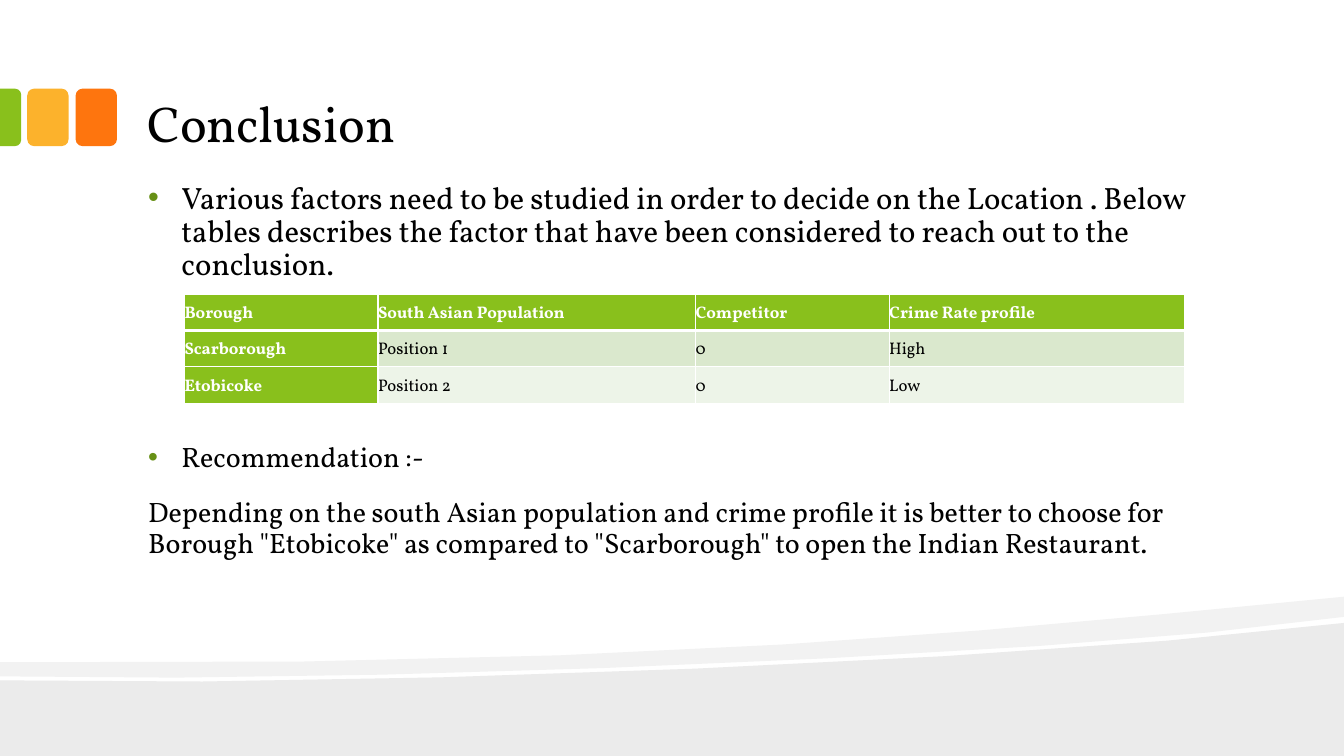
from dataclasses import dataclass

from pptx import Presentation
from pptx import util as u
from pptx.dml.color import RGBColor
from pptx.enum import shapes, text
from pptx.oxml import parse_xml
from pptx.oxml.ns import nsdecls

FONT = "Vollkorn"
BLACK, WHITE = "000000", "FFFFFF"
GREEN, AMBER, ORANGE, BULLET = "89C01C", "FCB22C", "FE750E", "679015"
Point = tuple[float, float]


@dataclass
class Tile:
    left: float
    top: float
    width: float
    height: float
    color: str
    preset: shapes.MSO_SHAPE = shapes.MSO_SHAPE.ROUNDED_RECTANGLE
    rotation: float = 0


@dataclass
class Band:
    color: str
    outline: list[Point]


@dataclass
class Item:
    words: str
    size: float
    bulleted: bool
    before: float = 18


def curve(start: Point, first: Point, second: Point, end: Point, steps: int = 6) -> list[Point]:
    """Points along a cubic Bezier curve, both ends included."""
    points = []
    for step in range(steps + 1):
        t = step / steps
        weights = ((1 - t) ** 3, 3 * t * (1 - t) ** 2, 3 * t * t * (1 - t), t ** 3)
        points.append(tuple(
            sum(weight * point[axis] for weight, point in zip(weights, (start, first, second, end)))
            for axis in (0, 1)))
    return points


TILES = [
    Tile(0.75, 0.88, 0.41, 0.57, ORANGE),
    Tile(0.27, 0.88, 0.41, 0.57, AMBER),
    Tile(-0.18, 1.06, 0.57, 0.21, GREEN, shapes.MSO_SHAPE.ROUND_2_SAME_RECTANGLE, 90),
]
BANDS = [
    Band("EBEBEB", [(13.33, 7.5), (0, 7.5)]
         + curve((0, 6.75), (3.52, 6.83), (10.42, 6.55), (13.33, 6.18))),
    Band("F2F2F2", curve((13.33, 6.12), (12.55, 6.23), (11.49, 6.33), (10.29, 6.41), steps=2)
         + curve((10.29, 6.41), (6.98, 6.63), (2.58, 6.77), (0, 6.71), steps=5)[1:]
         + curve((0, 6.57), (6.52, 6.62), (9.71, 6.27), (13.33, 5.92))),
]
ITEMS = [
    Item("Various factors need to be studied in order to decide on the Location . Below tables "
         "describes the factor that have been considered to reach out to the conclusion.", 22, True),
    Item("Recommendation :-", 20, True, before=115),
    Item("Depending on the south Asian population and crime profile it is better to choose for "
         "Borough \"Etobicoke\" as compared to \"Scarborough\" to open the Indian Restaurant.",
         20, False),
]
ROWS = [
    ["Borough", "South Asian Population", "Competitor", "Crime Rate profile"],
    ["Scarborough", "Position 1", "0", "High"],
    ["Etobicoke", "Position 2", "0", "Low"],
]
COLUMN_WIDTHS = [1.92, 3.15, 1.92, 2.93]
ROW_HEIGHT = 0.36
ROW_FILLS = [GREEN, "DAE8CD", "EDF4E8"]


def paint(target, color: str) -> None:
    target.fill.solid()
    target.fill.fore_color.rgb = RGBColor.from_string(color)


def finish(shape, color: str) -> None:
    """Flat fill without line or shadow."""
    paint(shape, color)
    shape.line.fill.background()
    shape.shadow.inherit = False


def write(para, words: str, *, size: float, color: str = BLACK, bold: bool = False,
          spacing: float = 0.9, before: float = 0) -> None:
    para.alignment = text.PP_ALIGN.LEFT
    para.line_spacing = spacing
    para.space_before = u.Pt(before)
    para.space_after = u.Pt(0)
    span = para.add_run()
    span.text = words
    span.font.name = FONT
    span.font.size = u.Pt(size)
    span.font.bold = bold
    span.font.color.rgb = RGBColor.from_string(color)


def set_bullet(para, bulleted: bool) -> None:
    props = para._p.get_or_add_pPr()
    indent = u.Inches(0.33) if bulleted else 0
    props.set("marL", str(indent))
    props.set("indent", str(-indent))
    if not bulleted:
        props.append(parse_xml(f"<a:buNone {nsdecls('a')}/>"))
        return
    for markup in (f'<a:buClr {nsdecls("a")}><a:srgbClr val="{BULLET}"/></a:buClr>',
                   f'<a:buFont {nsdecls("a")} typeface="Arial"/>',
                   f'<a:buChar {nsdecls("a")} char="•"/>'):
        props.append(parse_xml(markup))


def set_border(cell, side: str, width: float) -> None:
    cell._tc.get_or_add_tcPr().append(parse_xml(
        f'<a:ln{side} {nsdecls("a")} w="{u.Pt(width)}"><a:solidFill>'
        f'<a:srgbClr val="{WHITE}"/></a:solidFill></a:ln{side}>'))


def place(box, left: float, top: float, width: float, height: float, anchor) -> None:
    """Move a placeholder and set up its text frame."""
    box.left, box.top = u.Inches(left), u.Inches(top)
    box.width, box.height = u.Inches(width), u.Inches(height)
    frame = box.text_frame
    frame.margin_left = frame.margin_right = u.Inches(0.13)
    frame.margin_top = frame.margin_bottom = u.Inches(0.07)
    frame.vertical_anchor = anchor
    frame.word_wrap = True
    frame.auto_size = text.MSO_AUTO_SIZE.NONE


def draw_tile(page, tile: Tile) -> None:
    shape = page.shapes.add_shape(tile.preset, u.Inches(tile.left), u.Inches(tile.top),
                                  u.Inches(tile.width), u.Inches(tile.height))
    shape.rotation = tile.rotation
    if tile.rotation:
        shape.adjustments[0] = 0.29
    finish(shape, tile.color)


def draw_band(page, band: Band) -> None:
    start, *others = [(u.Inches(x), u.Inches(y)) for x, y in band.outline]
    builder = page.shapes.build_freeform(*start)
    builder.add_line_segments(others, close=True)
    finish(builder.convert_to_shape(), band.color)


def draw_table(page) -> None:
    table = page.shapes.add_table(
        len(ROWS), len(COLUMN_WIDTHS), u.Inches(1.83), u.Inches(2.92),
        u.Inches(sum(COLUMN_WIDTHS)), u.Inches(ROW_HEIGHT * len(ROWS))).table
    for column, width in zip(table.columns, COLUMN_WIDTHS):
        column.width = u.Inches(width)
    table.first_col = True
    for r, row in enumerate(ROWS):
        table.rows[r].height = u.Inches(ROW_HEIGHT)
        for c, words in enumerate(row):
            cell = table.cell(r, c)
            heading = r == 0 or c == 0
            cell.margin_left = cell.margin_right = cell.margin_top = cell.margin_bottom = 0
            cell.vertical_anchor = text.MSO_ANCHOR.MIDDLE
            write(cell.text_frame.paragraphs[0], words, size=12, spacing=1.15,
                  color=WHITE if heading else BLACK, bold=heading)
            for side in "LRTB":
                under_header = (r, side) in ((0, "B"), (1, "T"))
                set_border(cell, side, 3 if under_header else 1)
            paint(cell, GREEN if heading else ROW_FILLS[r])


def main() -> None:
    deck = Presentation()
    deck.slide_width, deck.slide_height = u.Inches(13.33), u.Inches(7.5)
    page = deck.slides.add_slide(deck.slide_layouts[1])
    title, body = page.placeholders

    for band in BANDS:
        draw_band(page, band)
    for tile in TILES:
        draw_tile(page, tile)
    for box in (title, body):  # bring the text in front of the decoration
        box.element.getparent().append(box.element)

    place(title, 1.33, 0.17, 10.66, 1.42, text.MSO_ANCHOR.BOTTOM)
    write(title.text_frame.paragraphs[0], "Conclusion", size=36)

    place(body, 1.34, 1.74, 10.66, 5, text.MSO_ANCHOR.TOP)
    frame = body.text_frame
    for number, item in enumerate(ITEMS):
        para = frame.add_paragraph() if number else frame.paragraphs[0]
        write(para, item.words, size=item.size, before=item.before)
        set_bullet(para, item.bulleted)

    draw_table(page)
    deck.save("out.pptx")


if __name__ == "__main__":
    main()
